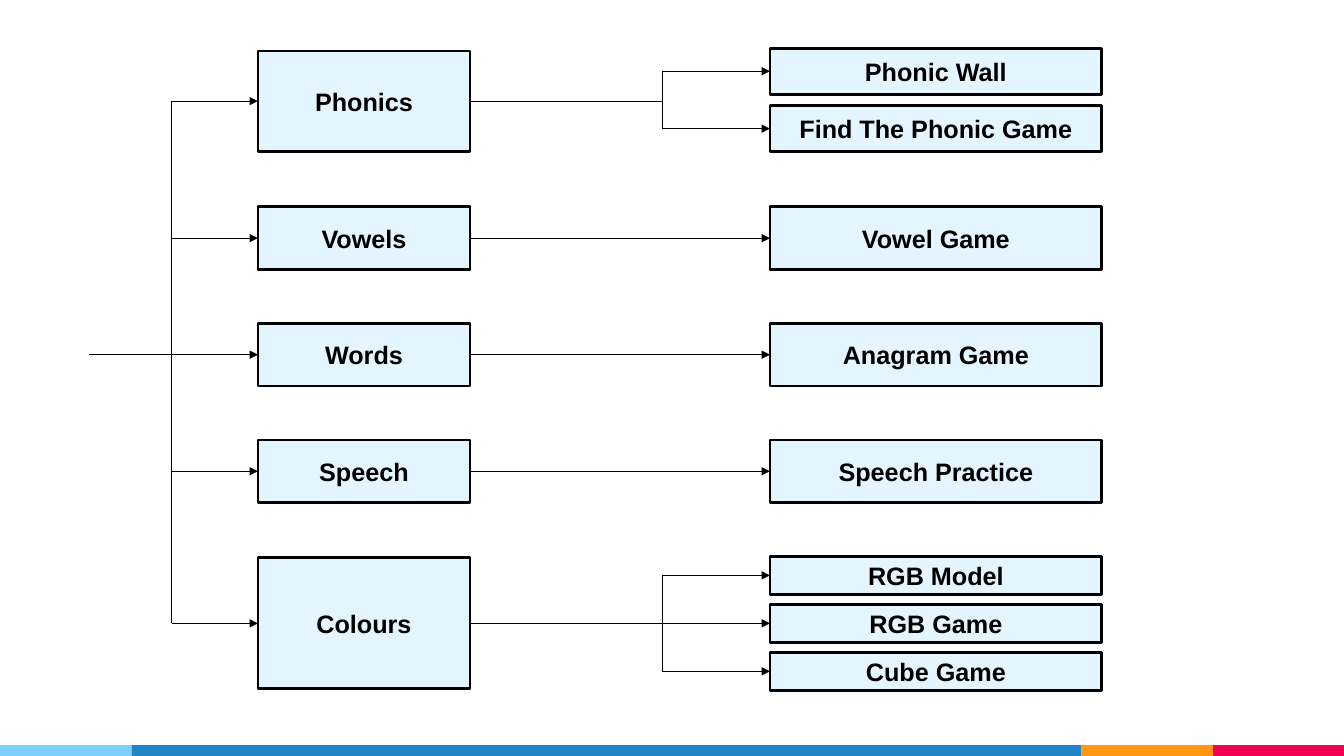
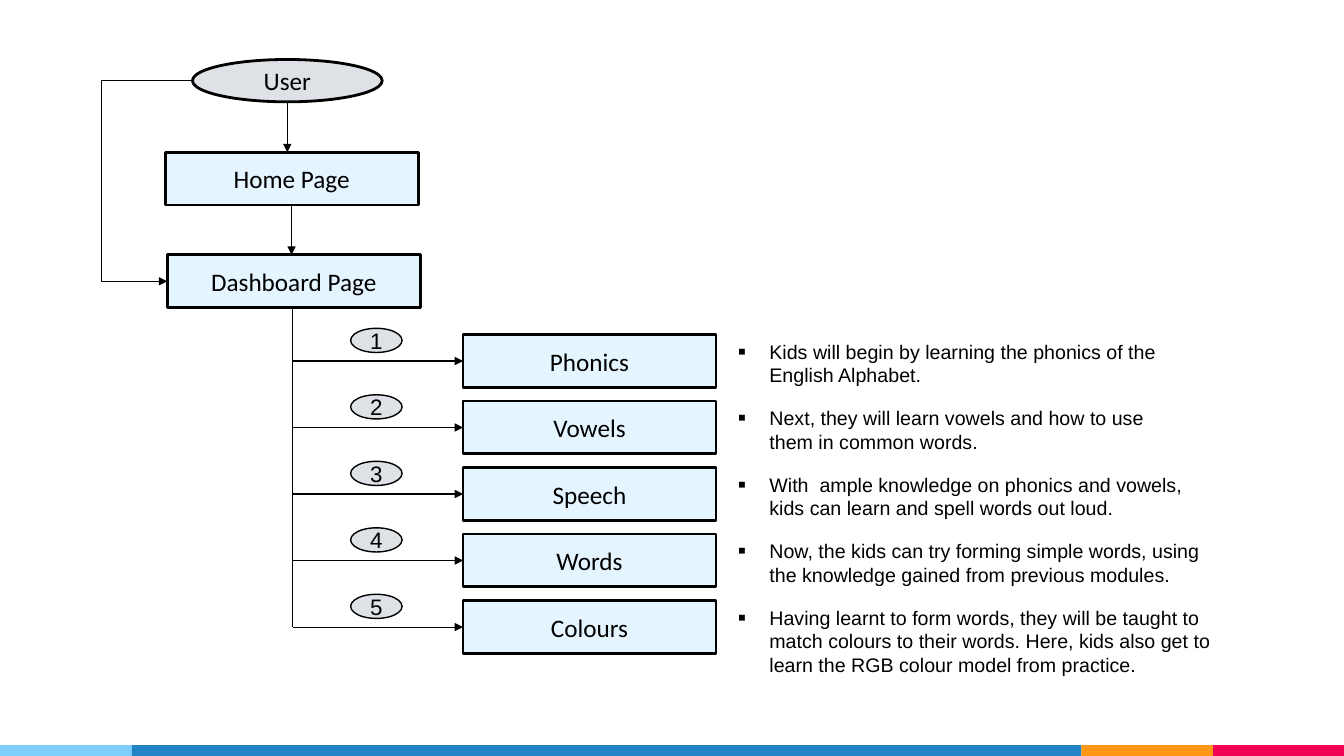
from lxml.etree import SubElement
from pptx import Presentation
from pptx.dml.color import RGBColor
from pptx.enum.shapes import MSO_CONNECTOR as Link, MSO_SHAPE as Preset
from pptx.enum.text import MSO_ANCHOR as Anchor, PP_ALIGN as Align
from pptx.oxml.ns import qn
from pptx.util import Pt

BLACK = "000000"
BOX_FILL = "E5F5FF"
OVAL_FILL = "DEE2E6"
BAND_TOP, BAND_HEIGHT = 532.25, 7.75
BANDS = [(0, 94, "7ECEFD"), (94, 678.5, "2185C5"),
         (772.5, 94, "FF9715"), (866.5, 93.5, "F20253")]


def colour(hex_code):
    return RGBColor.from_string(hex_code)


class Flowchart:
    """Holds the shared style and the slide being drawn; lengths in points."""

    def __init__(self, font="Arial", size=18, bold=False):
        self.deck = Presentation()
        self.deck.slide_width, self.deck.slide_height = Pt(960), Pt(540)
        self.set_style(font, size, bold)

    def set_style(self, font, size, bold):
        self.font, self.size, self.bold = font, size, bold

    def add_page(self):
        self.page = self.deck.slides.add_slide(self.deck.slide_layouts[6])
        for left, width, fill in BANDS:
            self.shape(Preset.RECTANGLE, left, BAND_TOP, width, BAND_HEIGHT, fill)

    def format_text(self, para, font=None, size=None):
        for span in para.runs:
            span.font.name = font or self.font
            span.font.size = Pt(size or self.size)
            span.font.bold = self.bold
            span.font.color.rgb = colour(BLACK)

    def shape(self, preset, left, top, width, height, fill, border=0):
        shape = self.page.shapes.add_shape(
            preset, Pt(left), Pt(top), Pt(width), Pt(height))
        shape.shadow.inherit = False
        shape.fill.solid()
        shape.fill.fore_color.rgb = colour(fill)
        if border:
            shape.line.color.rgb = colour(BLACK)
            shape.line.width = Pt(border)
        else:
            shape.line.fill.background()
        return shape

    def label(self, shape, text, font=None, size=None):
        frame = shape.text_frame
        frame.text = text
        frame.word_wrap = False
        frame.vertical_anchor = Anchor.MIDDLE
        frame.margin_left = frame.margin_right = 0
        frame.margin_top = frame.margin_bottom = 0
        para = frame.paragraphs[0]
        para.alignment = Align.CENTER
        self.format_text(para, font, size)

    def box(self, text, left, top, width, height):
        self.label(self.shape(Preset.RECTANGLE, left, top, width, height,
                              BOX_FILL, 2), text)

    def oval(self, text, left, top, width, height, border, font=None, size=None):
        self.label(self.shape(Preset.OVAL, left, top, width, height,
                              OVAL_FILL, border), text, font, size)

    def line(self, x1, y1, x2, y2, arrow=False, bend_x=None):
        """Draw a straight line, or an elbow whose middle leg is at bend_x."""
        kind = Link.STRAIGHT if bend_x is None else Link.ELBOW
        line = self.page.shapes.add_connector(kind, Pt(x1), Pt(y1), Pt(x2), Pt(y2))
        line.line.color.rgb = colour(BLACK)
        line.line.width = Pt(0.75)
        properties = line._element.spPr
        if arrow:
            SubElement(properties.find(qn("a:ln")), qn("a:tailEnd"), type="triangle")
        SubElement(properties, qn("a:effectLst"))
        if bend_x is not None:
            ratio = round((bend_x - x1) / (x2 - x1) * 100000)
            guides = properties.find(qn("a:prstGeom")).find(qn("a:avLst"))
            SubElement(guides, qn("a:gd"), name="adj1", fmla=f"val {ratio}")

    def arrow(self, x1, y1, x2, y2, bend_x=None):
        self.line(x1, y1, x2, y2, True, bend_x)

    def bullet(self, text, left, top, width, height):
        frame = self.page.shapes.add_textbox(
            Pt(left), Pt(top), Pt(width), Pt(height)).text_frame
        frame.word_wrap = True
        frame.text = text
        para = frame.paragraphs[0]
        properties = para._p.get_or_add_pPr()
        properties.set("marL", str(Pt(22.5)))
        properties.set("indent", str(-Pt(22.5)))
        SubElement(properties, qn("a:buSzPct"), val="120000")
        SubElement(properties, qn("a:buFont"), typeface="Arial")
        SubElement(properties, qn("a:buChar"), char="▪")
        self.format_text(para, "Arial", 14)


def draw_module_tree(chart):
    chart.set_style("Arial", 18, True)
    chart.add_page()
    entry_x, trunk_x, fork_x = 63.5, 122.75, 473
    module_left, module_width = 184.25, 151.5
    game_left, game_width = 550, 237
    single_top, single_pitch, single_height = 147.75, 83.25, 44.75

    # module, top, height, games, first game top, game pitch, game height
    rows = [("Phonics", 36.5, 71.5, ["Phonic Wall", "Find The Phonic Game"],
             34.5, 41, 32.75)]
    singles = [("Vowels", "Vowel Game"), ("Words", "Anagram Game"),
               ("Speech", "Speech Practice")]
    for index, (module, game) in enumerate(singles):
        top = single_top + index * single_pitch
        rows.append((module, top, single_height, [game], top, 0, single_height))
    rows.append(("Colours", 398.5, 93.5, ["RGB Model", "RGB Game", "Cube Game"],
                 397.5, 34.25, 27))

    module_centres = []
    for module, top, height, games, game_top, pitch, game_height in rows:
        centre = top + height / 2
        module_centres.append(centre)
        chart.box(module, module_left, top, module_width, height)
        chart.arrow(trunk_x, centre, module_left, centre)
        chart.line(module_left + module_width, centre, fork_x, centre)
        game_centres = []
        for index, game in enumerate(games):
            y = game_top + index * pitch
            chart.box(game, game_left, y, game_width, game_height)
            game_centres.append(y + game_height / 2)
            chart.arrow(fork_x, game_centres[-1], game_left, game_centres[-1])
        if len(games) > 1:
            chart.line(fork_x, game_centres[0], fork_x, game_centres[-1])
    chart.line(trunk_x, module_centres[0], trunk_x, module_centres[-1])
    chart.line(entry_x, module_centres[2], trunk_x, module_centres[2])


def draw_user_journey(chart):
    chart.set_style("Calibri", 18, False)
    chart.add_page()
    box_width, box_height = 180.75, 37.75
    trunk_x, step_left = 209, 330.75
    first_top, pitch = 239, 47.5
    steps = [
        ("Phonics", 317.5, "Kids will begin by learning the phonics of the "
         "English Alphabet."),
        ("Vowels", 317.5, "Next, they will learn vowels and how to use them in "
         "common words."),
        ("Speech", 347, "With  ample knowledge on phonics and vowels, kids can "
         "learn and spell words out loud."),
        ("Words", 358, "Now, the kids can try forming simple words, using the "
         "knowledge gained from previous modules."),
        ("Colours", 363.5, "Having learnt to form words, they will be taught to "
         "match colours to their words. Here, kids also get to learn the RGB "
         "colour model from practice."),
    ]
    for index, (module, note_width, note) in enumerate(steps):
        top = first_top + index * pitch
        centre = top + box_height / 2
        chart.arrow(trunk_x, centre, step_left, centre)
        chart.box(module, step_left, top, box_width, box_height)
        chart.oval(str(index + 1), 250.5, top - 4.5, 36.75, 17.25, 1, "Arial", 16)
        chart.bullet(note, 520, top, note_width, 41)
    chart.line(trunk_x, 219.75, trunk_x, centre)

    chart.oval("User", 137.5, 42.5, 135.5, 30.25, 2)
    chart.box("Home Page", 118, 108.75, box_width, box_height)
    chart.box("Dashboard Page", 119.5, 182, box_width, box_height)
    chart.arrow(205.25, 73, 205.25, 108.75)
    chart.arrow(208.25, 146.5, 208.25, 182)
    chart.arrow(137.5, 57.5, 119.5, 201, bend_x=72.5)


def main():
    chart = Flowchart()
    draw_module_tree(chart)
    draw_user_journey(chart)
    chart.deck.save("out.pptx")


if __name__ == "__main__":
    main()
